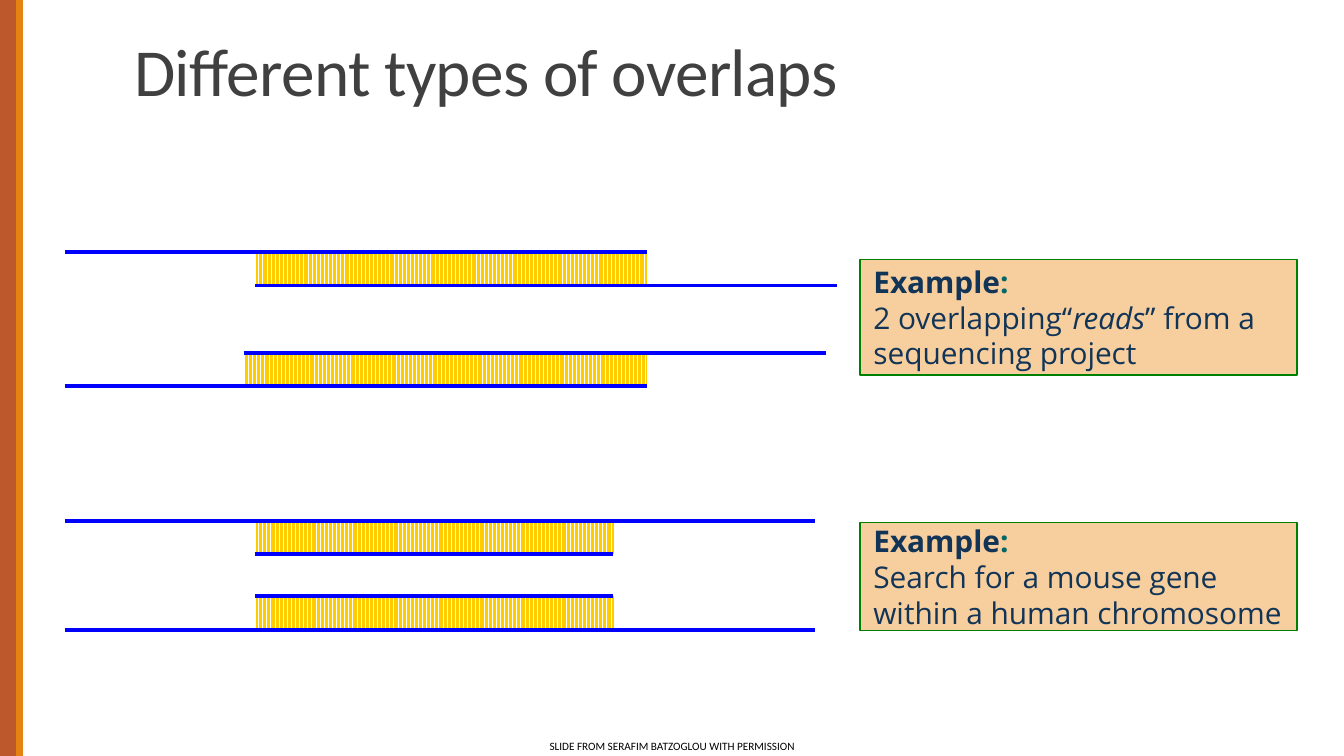
import pptx
import pptx.dml.color
import pptx.enum.dml
import pptx.enum.shapes
import pptx.enum.text
import pptx.oxml
import pptx.util

RGB = pptx.dml.color.RGBColor
RUST = RGB(0xBD, 0x58, 0x2C)
ORANGE = RGB(0xE4, 0x83, 0x12)
YELLOW = RGB(0xFF, 0xCC, 0x00)
WHITE = RGB(0xFF, 0xFF, 0xFF)
BLUE = RGB(0x00, 0x00, 0xFF)
PEACH = RGB(0xF7, 0xCE, 0x9D)
GREEN = RGB(0x00, 0x80, 0x00)
NAVY = RGB(0x11, 0x34, 0x57)
TEAL = RGB(0x00, 0x66, 0x66)
GREY = RGB(0x40, 0x40, 0x40)
BLACK = RGB(0x00, 0x00, 0x00)

SLIDE_W = 10
SLIDE_H = SLIDE_W * 9 / 16
LEFT, COLUMN, ROW = 0.48, 1 / 12, 1 / 16  # inches of the alignment grid

TITLE = "Different types of overlaps"
CREDIT = "SLIDE FROM SERAFIM BATZOGLOU WITH PERMISSION"

# Stripes at the left edge: (left, width, colour)
STRIPES = [(0, 0.17, RUST), (0.12, 0.05, ORANGE)]

# Overlaps: (top row, upper strand columns, bottom row, lower strand columns)
OVERLAPS = [
    (30, (0, 52), 34, (17, 69)),
    (42, (16, 68), 46, (0, 52)),
    (62, (0, 67), 66, (17, 49)),
    (71, (17, 49), 75, (0, 67)),
]

# Examples: (top, height, lines of (text, format) runs)
HEADING = [("Example", {"bold": True}), (":", {"bold": True, "color": TEAL})]
EXAMPLES = [
    (1.93, 0.86, [
        HEADING,
        [("2 overlapping“", {}), ("reads", {"italic": True}), ("” from a", {})],
        [("sequencing project", {})],
    ]),
    (3.89, 0.8, [
        HEADING,
        [("Search for a mouse gene", {})],
        [("within a human chromosome", {})],
    ]),
]
EXAMPLE_LEFT, EXAMPLE_W = 6.4, 3.25

TITLE_FORMAT = {"name": "Calibri", "size": pptx.util.Pt(36), "color": GREY}
CREDIT_FORMAT = {"name": "Calibri", "size": pptx.util.Pt(6), "color": BLACK}
EXAMPLE_FORMAT = {"name": "Open Sans", "size": pptx.util.Pt(16), "color": NAVY,
                  "bold": False, "italic": False}


def inches(*lengths):
    return [pptx.util.Inches(length) for length in lengths]


def grid_x(column):
    return LEFT + column * COLUMN


def add_run(paragraph, text, font_format):
    run = paragraph.add_run()
    run.text = text
    for key, value in font_format.items():
        if key == "color":
            run.font.color.rgb = value
        else:
            setattr(run.font, key, value)
    return run


def add_rectangle(slide, left, top, width, height, color):
    rectangle = slide.shapes.add_shape(
        pptx.enum.shapes.MSO_SHAPE.RECTANGLE, *inches(left, top, width, height))
    rectangle.shadow.inherit = False
    rectangle.fill.solid()
    rectangle.fill.fore_color.rgb = color
    rectangle.line.fill.background()
    return rectangle


def add_strand(slide, row, columns):
    start, end = map(grid_x, columns)
    strand = slide.shapes.add_connector(
        pptx.enum.shapes.MSO_CONNECTOR.STRAIGHT,
        *inches(start, row * ROW, end, row * ROW))
    strand.line.color.rgb = BLUE
    strand.line.width = pptx.util.Pt(2)
    strand._element.spPr.append(pptx.oxml.parse_xml(
        '<a:effectLst xmlns:a="http://schemas.openxmlformats.org/drawingml/2006/main"/>'))


def add_overlap(slide, top_row, upper, bottom_row, lower):
    """Draw two strands and hatch the columns that they share."""
    start = grid_x(max(upper[0], lower[0]))
    end = grid_x(min(upper[1], lower[1]))
    match = add_rectangle(slide, start, top_row * ROW, end - start,
                          (bottom_row - top_row) * ROW, YELLOW)
    match.fill.patterned()
    match.fill.pattern = pptx.enum.dml.MSO_PATTERN.DARK_VERTICAL
    match.fill.fore_color.rgb = YELLOW
    match.fill.back_color.rgb = WHITE
    add_strand(slide, top_row, upper)
    add_strand(slide, bottom_row, lower)


def add_example(slide, top, height, lines):
    box = add_rectangle(slide, EXAMPLE_LEFT, top, EXAMPLE_W, height, PEACH)
    box.line.color.rgb = GREEN
    box.line.width = pptx.util.Pt(0.75)
    frame = box.text_frame
    frame.word_wrap = False
    frame.vertical_anchor = pptx.enum.text.MSO_ANCHOR.MIDDLE
    for index, runs in enumerate(lines):
        paragraph = frame.add_paragraph() if index else frame.paragraphs[0]
        paragraph.alignment = pptx.enum.text.PP_ALIGN.LEFT
        for text, changes in runs:
            add_run(paragraph, text, {**EXAMPLE_FORMAT, **changes})


def set_title(slide):
    title = slide.shapes.title
    title.left, title.top, title.width, title.height = inches(0.9, 0.13, 8.25, 0.74)
    frame = title.text_frame
    frame.auto_size = pptx.enum.text.MSO_AUTO_SIZE.NONE
    frame.vertical_anchor = pptx.enum.text.MSO_ANCHOR.BOTTOM
    paragraph = frame.paragraphs[0]
    paragraph.alignment = pptx.enum.text.PP_ALIGN.LEFT
    paragraph.line_spacing = 0.85
    run = add_run(paragraph, TITLE, TITLE_FORMAT)
    run.font._element.set("spc", "-40")


def add_credit(slide):
    width, height = 3.96, 0.1
    credit = slide.shapes.add_textbox(
        *inches((SLIDE_W - width) / 2, 5.5, width, height))
    frame = credit.text_frame
    frame.word_wrap = True
    frame.margin_top = frame.margin_bottom = 0
    frame.vertical_anchor = pptx.enum.text.MSO_ANCHOR.MIDDLE
    paragraph = frame.paragraphs[0]
    paragraph.alignment = pptx.enum.text.PP_ALIGN.CENTER
    add_run(paragraph, CREDIT, CREDIT_FORMAT)


def main():
    presentation = pptx.Presentation()
    presentation.slide_width, presentation.slide_height = inches(SLIDE_W, SLIDE_H)
    slide = presentation.slides.add_slide(presentation.slide_layouts[5])
    for left, width, color in STRIPES:
        add_rectangle(slide, left, 0, width, SLIDE_H, color)
    set_title(slide)
    for overlap in OVERLAPS:
        add_overlap(slide, *overlap)
    for example in EXAMPLES:
        add_example(slide, *example)
    add_credit(slide)
    presentation.save("out.pptx")


if __name__ == "__main__":
    main()
